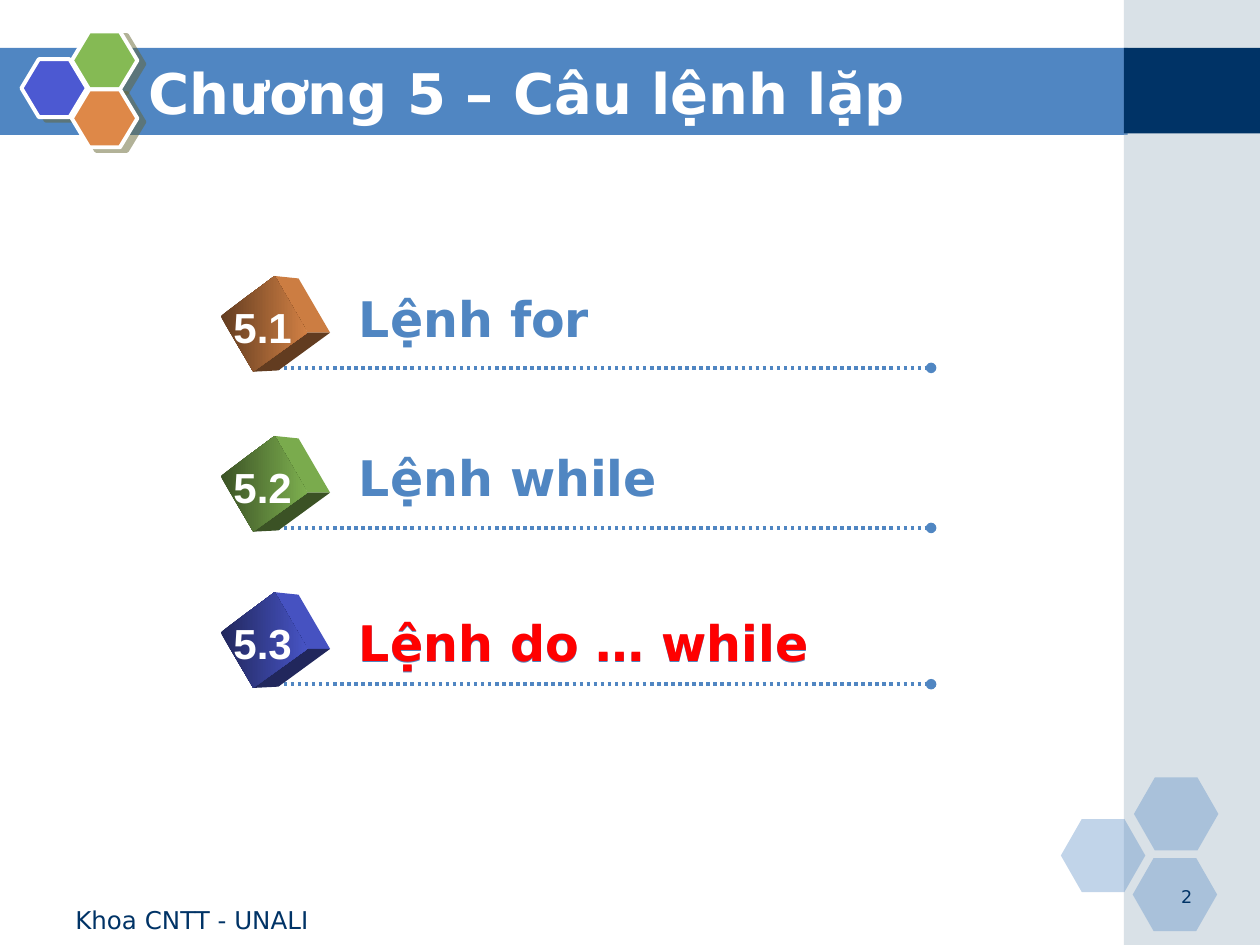
"""Builds the chapter 5 outline slide: loop statements."""
from dataclasses import dataclass
from typing import Optional

from lxml.etree import SubElement
from pptx import Presentation
from pptx.dml.color import RGBColor
from pptx.enum.dml import MSO_LINE
from pptx.enum.shapes import MSO_CONNECTOR, MSO_SHAPE as Preset
from pptx.enum.text import MSO_ANCHOR as Anchor, PP_ALIGN as Align
from pptx.oxml import parse_xml
from pptx.oxml.ns import nsdecls, qn
from pptx.util import Inches, Pt

COLORS = {
    "blue": "5086C2", "navy": "003366", "panel": "A0B5C4", "white": "FFFFFF",
    "red": "FF0000", "shadow": "666633",
    "indigo": "4C59D2", "green": "85BA54", "orange": "DE8848",
}
BODY_FONT, NUMBER_FONT = "DejaVu Sans", "Arial"
HEXAGON_SIZE, LOGO_SIZE = (0.67, 0.58), (0.52, 0.46)
CUBE_FRONT = [(1.75, -0.41), (2.18, -0.73), (2.44, -0.28), (2.01, 0.03)]
CUBE_SIDE = [(2.18, -0.73), (2.37, -0.71), (2.62, -0.28), (2.44, -0.28)]
CUBE_BASE = [(2.44, -0.28), (2.62, -0.28), (2.21, 0.02), (2.01, 0.03)]


@dataclass(frozen=True)
class Box:
    left: float
    top: float
    width: float
    height: float

    def lengths(self) -> list:
        return [Inches(n) for n in (self.left, self.top, self.width, self.height)]


@dataclass(frozen=True)
class Style:
    size: int
    color: str
    bold: bool = False
    font: str = BODY_FONT
    align: Align = Align.LEFT


@dataclass(frozen=True)
class Section:
    number: str
    label: str
    rule_y: float
    label_y: float
    color: str
    highlighted: bool = False


LABEL = Style(28, "blue", True)
HIGHLIGHT = Style(28, "red", True)
NUMBER = Style(24, "white", True, NUMBER_FONT, Align.CENTER)
SECTIONS = [
    Section("5.1", "Lệnh for", 2.92, 2.24, "orange"),
    Section("5.2", "Lệnh while", 4.19, 3.5, "green"),
    Section("5.3", "Lệnh do … while", 5.43, 4.82, "indigo", True),
]


def rgb(name: str, shade: float = 1) -> RGBColor:
    channels = bytes.fromhex(COLORS[name])
    return RGBColor(*(round(channel * shade) for channel in channels))


def add_preset(slide, preset: Preset, box: Box, color: str,
               opacity: Optional[int] = None):
    shape = slide.shapes.add_shape(preset, *box.lengths())
    shape.shadow.inherit = False
    shape.fill.solid()
    shape.fill.fore_color.rgb = rgb(color)
    shape.line.fill.background()
    if opacity is not None:
        solid = next(shape.element.spPr.iter(qn("a:srgbClr")))
        SubElement(solid, qn("a:alpha"), val=str(opacity * 1000))
    return shape


def add_logo_hexagon(slide, left: float, top: float, color: str) -> None:
    shape = add_preset(slide, Preset.HEXAGON, Box(left, top, *LOGO_SIZE), color)
    shape.adjustments[0] = 0.3
    shape.line.color.rgb = rgb("white")
    shape.line.width = Pt(2.25)
    effects = shape.element.spPr.find(qn("a:effectLst"))
    effects.append(parse_xml(
        f'<a:outerShdw {nsdecls("a")} blurRad="0" dist="{Pt(4.5)}" dir="1620000" '
        f'algn="ctr" rotWithShape="0"><a:srgbClr val="{COLORS["shadow"]}">'
        '<a:alpha val="50000"/></a:srgbClr></a:outerShdw>'))


def write(frame, text: str, style: Style) -> None:
    paragraph = frame.paragraphs[0]
    paragraph.alignment = style.align
    run = paragraph.add_run()
    run.text = text
    run.font.size = Pt(style.size)
    run.font.name = style.font
    run.font.bold = style.bold
    run.font.color.rgb = rgb(style.color)


def add_text(slide, box: Box, text: str, style: Style, wrap: bool = True) -> None:
    frame = slide.shapes.add_textbox(*box.lengths()).text_frame
    frame.word_wrap = wrap
    write(frame, text, style)


def add_face(slide, points: list, rule_y: float):
    corners = [(Inches(x), Inches(rule_y + y)) for x, y in points]
    builder = slide.shapes.build_freeform(*corners[0])
    builder.add_line_segments(corners[1:])
    face = builder.convert_to_shape()
    face.shadow.inherit = False
    face.line.fill.background()
    return face


def add_cube(slide, rule_y: float, color: str) -> None:
    for points, shade in ((CUBE_SIDE, 0.92), (CUBE_BASE, 0.44)):
        face = add_face(slide, points, rule_y)
        face.fill.solid()
        face.fill.fore_color.rgb = rgb(color, shade)
    front = add_face(slide, CUBE_FRONT, rule_y)
    front.fill.gradient()
    front.fill.gradient_angle = 0
    for stop, shade in zip(front.fill.gradient_stops, (0.44, 0.94)):
        stop.color.rgb = rgb(color, shade)


def add_rule(slide, y: float) -> None:
    rule = slide.shapes.add_connector(
        MSO_CONNECTOR.STRAIGHT, Inches(2.14), Inches(y), Inches(7.39), Inches(y))
    rule.line.color.rgb = rgb("blue")
    rule.line.width = Pt(2)
    rule.line.dash_style = MSO_LINE.ROUND_DOT
    properties = rule.element.spPr
    SubElement(properties.find(qn("a:ln")), qn("a:tailEnd"), type="oval")
    SubElement(properties, qn("a:effectLst"))


def add_section(slide, section: Section) -> None:
    add_rule(slide, section.rule_y)
    add_cube(slide, section.rule_y, section.color)
    add_text(slide, Box(1.75, section.rule_y - 0.58, 0.67, 0.5),
             section.number, NUMBER, wrap=False)
    add_text(slide, Box(2.75, section.label_y, 4.45, 0.57), section.label, LABEL)
    if section.highlighted:
        add_text(slide, Box(2.75, section.label_y - 0.01, 4.45, 0.57),
                 section.label, HIGHLIGHT)


def add_backdrop(slide) -> None:
    add_preset(slide, Preset.RECTANGLE, Box(-0.01, 0.38, 8.96, 0.69), "blue")
    add_preset(slide, Preset.RECTANGLE, Box(8.92, 0, 1.08, 7.5), "panel", 40)
    add_preset(slide, Preset.RECTANGLE, Box(8.92, 0.38, 1.08, 0.68), "navy")
    for left, top in ((8.42, 6.5), (9, 6.17), (8.99, 6.81)):
        hexagon = add_preset(slide, Preset.HEXAGON,
                             Box(left, top, *HEXAGON_SIZE), "blue", 35)
        hexagon.adjustments[0] = 0.286
    add_logo_hexagon(slide, 0.17, 0.47, "indigo")
    add_logo_hexagon(slide, 0.57, 0.25, "green")
    add_logo_hexagon(slide, 0.57, 0.71, "orange")


def add_title(slide, text: str) -> None:
    title = slide.shapes.title
    title.left, title.top, title.width, title.height = Box(1.08, 0.42, 8.92, 0.62).lengths()
    title.text_frame.vertical_anchor = Anchor.MIDDLE
    write(title.text_frame, text, Style(32, "white", True))
    title.element.getparent().append(title.element)


def main() -> None:
    presentation = Presentation()
    presentation.slide_width, presentation.slide_height = Inches(10), Inches(7.5)
    slide = presentation.slides.add_slide(presentation.slide_layouts[5])
    add_backdrop(slide)
    add_title(slide, "Chương 5 – Câu lệnh lặp")
    for section in SECTIONS:
        add_section(slide, section)
    add_text(slide, Box(0.5, 7.13, 2.33, 0.27), "Khoa CNTT - UNALI", Style(14, "navy"))
    add_text(slide, Box(9.06, 6.98, 0.5, 0.25), "2",
             Style(10, "navy", align=Align.RIGHT))
    presentation.save("out.pptx")


if __name__ == "__main__":
    main()
